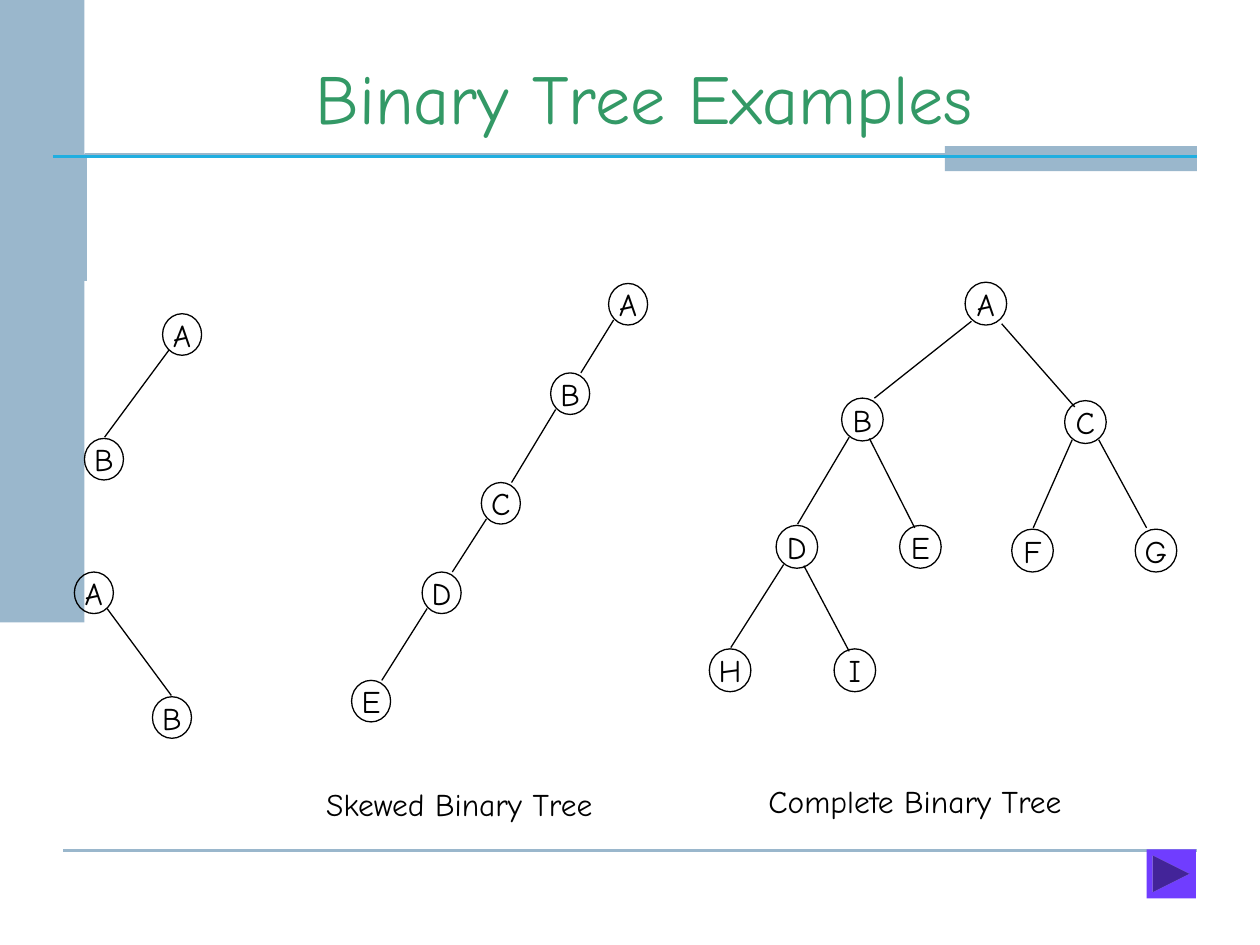
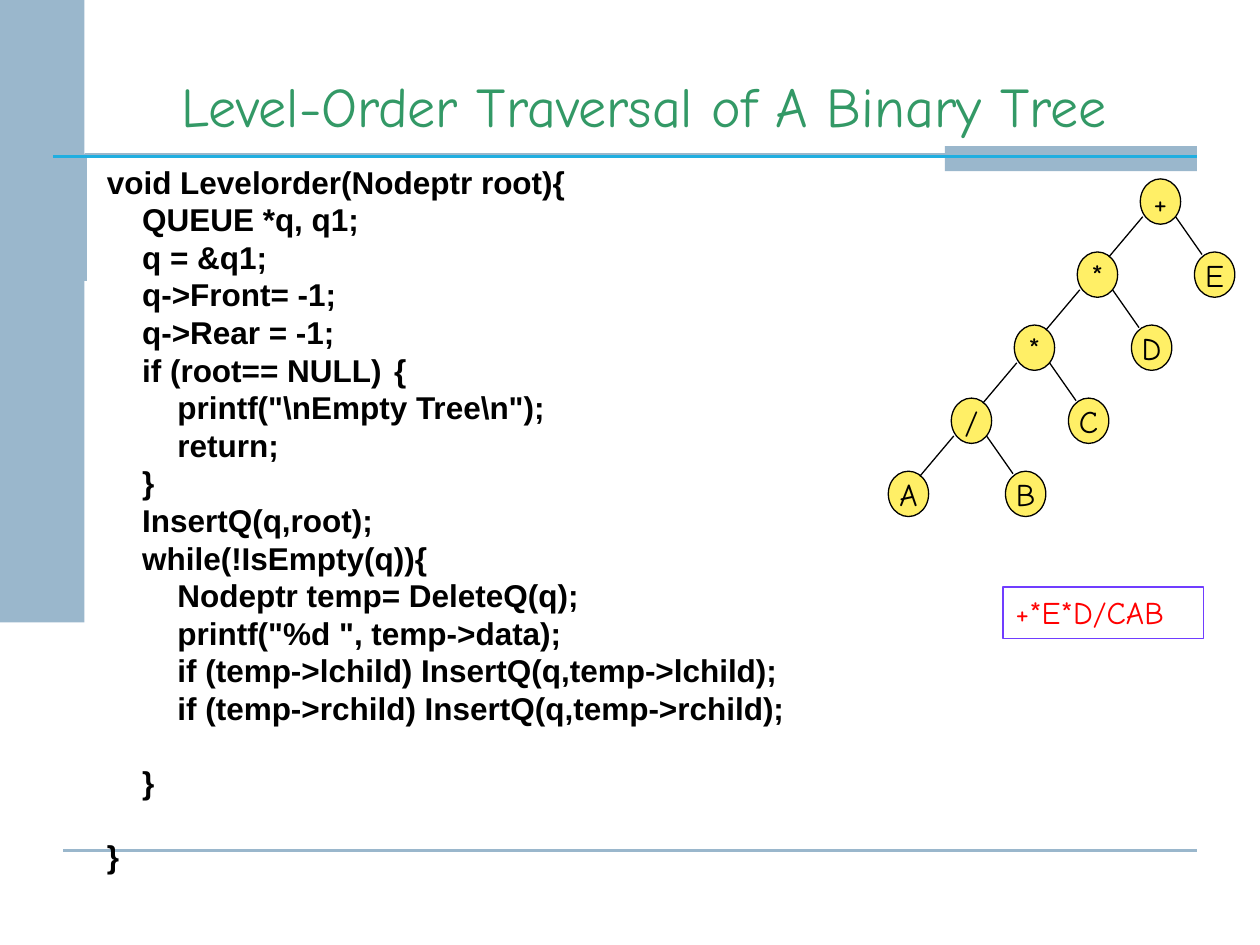
from dataclasses import dataclass
from lxml import etree
from pptx import Presentation, util as u
from pptx.dml.color import RGBColor
from pptx.enum import shapes as sh, text as tx
from pptx.oxml.ns import qn

PX = 9144  # 100 px to the inch


@dataclass(frozen=True)
class Theme:
    band: str = "9AB7CC"
    rule: str = "20AEE0"
    title: str = "339966"
    ink: str = "000000"
    node: str = "FFEF66"
    accent: str = "703DFF"
    result: str = "FF0000"
    hand: str = "Comic Neue"
    code: str = "Arial"
    big: int = 40
    mid: int = 32
    base: int = 18
    hair: float = 0.75
    thin: float = 1.5
    thick: float = 2


T = Theme()

# Nodes: label, left, top, index of parent, and edge ends where they differ.
# Edge ends: start offset from the parent's corner, end offset from the child's.
TREES = [
    dict(size=(31, 33), left=(5, 29, 16, -1), nodes=[
        ("A", 129, 249, None), ("B", 67, 348, 0)]),
    dict(size=(31, 33), right=(26, 29, 15, -1), nodes=[
        ("A", 59, 454, None), ("B", 121, 553, 0)]),
    dict(size=(31, 33), left=(4, 29, 24, 0), nodes=[
        ("A", 483, 225, None), ("B", 437, 296, 0), ("C", 382, 383, 1),
        ("D", 335, 454, 2), ("E", 279, 540, 3)]),
    dict(size=(33, 34), left=(6, 31, 17, -1), right=(22, 32, 12, 2), nodes=[
        ("A", 766, 224, None),
        ("B", 668, 316, 0, (5, 31, 26, 0)), ("C", 845, 318, 0, (29, 33, 8, 5)),
        ("D", 616, 417, 1), ("E", 714, 417, 1),
        ("F", 803, 420, 2), ("G", 901, 420, 2, (27, 31, 9, -1)),
        ("H", 563, 515, 3), ("I", 662, 515, 3)]),
]
NAMES = [("Skewed Binary Tree", (249, 618, 265, 40)),
         ("Complete Binary Tree", (600, 616, 327, 40))]

# Each level of the expression: left and right child of the operator above.
ROOT = "+"
LEVELS = ["*E", "*D", "/C", "AB"]
RESULT = "+*E*D/CAB"

# Indent level, text, and lines left free above.
CODE = [
    (0, "void Levelorder(Nodeptr root){", 0),
    (1, "QUEUE *q, q1;", 0),
    (1, "q = &q1;", 0),
    (1, "q->Front= -1;", 0),
    (1, "q->Rear = -1;", 0),
    (1, "if (root== NULL)\t{", 0),
    (2, 'printf("\\nEmpty Tree\\n");', 0),
    (2, "return;", 0),
    (1, "}", 0),
    (1, "InsertQ(q,root);", 0),
    (1, "while(!IsEmpty(q)){", 0),
    (2, "Nodeptr temp= DeleteQ(q);", 0),
    (2, 'printf("%d ", temp->data);', 0),
    (2, "if (temp->lchild) InsertQ(q,temp->lchild);", 0),
    (2, "if (temp->rchild) InsertQ(q,temp->rchild);", 0),
    (1, "}", 1),
    (0, "}", 1),
]
STEP, BRACE = 28, 246  # indent of one level, tab stop of the lone brace
GAP, PITCH = 4.2, 20.9  # space between code lines, distance of lines


def rgb(hue):
    return RGBColor.from_string(hue)


def paint(shape, fill=None, line=None, width=T.hair):
    shape.shadow.inherit = False
    if fill:
        shape.fill.solid()
        shape.fill.fore_color.rgb = rgb(fill)
    else:
        shape.fill.background()
    if line:
        shape.line.color.rgb = rgb(line)
        shape.line.width = u.Pt(width)
    else:
        shape.line.fill.background()
    return shape


def block(slide, kind, box, **look):
    return paint(slide.shapes.add_shape(kind, *(v * PX for v in box)), **look)


def link(slide, ends, hue=T.ink, width=T.hair):
    line = slide.shapes.add_connector(sh.MSO_CONNECTOR.STRAIGHT,
                                      *(v * PX for v in ends))
    line.line.color.rgb = rgb(hue)
    line.line.width = u.Pt(width)
    etree.SubElement(line._element.spPr, qn("a:effectLst"))


def write(shape, words, font=T.hand, size=T.base, hue=T.ink, bold=False,
          align=tx.PP_ALIGN.LEFT, anchor=tx.MSO_ANCHOR.TOP, wrap=True):
    """Fill a shape with one paragraph per line of words; return them."""
    frame = shape.text_frame
    frame.word_wrap = wrap
    frame.vertical_anchor = anchor
    frame.text = words
    for para in frame.paragraphs:
        para.alignment = align
        for run in para.runs:
            run.font.name, run.font.size = font, u.Pt(size)
            run.font.bold, run.font.color.rgb = bold, rgb(hue)
    return frame.paragraphs


def label(slide, box, words, **look):
    return write(slide.shapes.add_textbox(*(v * PX for v in box)), words, **look)


def base(deck, title, size):
    """Add a slide with the shared bands, rules and title."""
    slide = deck.slides.add_slide(deck.slide_layouts[6])
    path = slide.shapes.build_freeform(68, 223, scale=PX)
    path.add_line_segments([(68, 123), (935, 123)], close=False)
    paint(path.convert_to_shape(), line=T.band, width=T.thick)
    link(slide, (50, 675, 950, 675), T.band, T.thin)
    for box in [(0, -39, 67, 533), (750, 116, 200, 20)]:
        block(slide, sh.MSO_SHAPE.RECTANGLE, box, fill=T.band)
    link(slide, (42, 124, 950, 124), T.rule, T.thin)
    label(slide, (75, 38, 873, 77), title, size=size, hue=T.title,
          align=tx.PP_ALIGN.CENTER, anchor=tx.MSO_ANCHOR.BOTTOM)
    return slide


def plant(slide, nodes, size, left=None, right=None, fill=None):
    """Draw a tree; an edge leans left or right as its child does."""
    for name, x, y, top, *ends in nodes:
        oval = block(slide, sh.MSO_SHAPE.OVAL, (x, y, *size),
                     fill=fill, line=T.ink)
        write(oval, name, align=tx.PP_ALIGN.CENTER,
              anchor=tx.MSO_ANCHOR.MIDDLE, wrap=False)
        if top is not None:
            px, py = nodes[top][1:3]
            a, b, c, d = ends[0] if ends else left if x < px else right
            link(slide, (px + a, py + b, x + c, y + d))


def grow():
    """Lay out the expression tree along its left spine."""
    x, y, top = 905, 142, 0
    nodes = [(ROOT, x, y, None)]
    for one, two in LEVELS:
        x, y = x - 50, y + 58
        nodes += [(one, x, y, top), (two, x + 93, y, top)]
        top = len(nodes) - 2
    return nodes


def listing(slide):
    words = "\n".join(line for _, line, _ in CODE)
    paras = label(slide, (75, 130, 890, 620), words, font=T.code, bold=True)
    for i, (para, (level, line, free)) in enumerate(zip(paras, CODE)):
        para.line_spacing = 0.8
        para.space_before = u.Pt(GAP * (i > 0) + PITCH * free)
        props = para._p.get_or_add_pPr()
        props.set("marL", str(level * STEP * PX))
        props.set("indent", "0")
        if "\t" in line:
            tabs = etree.SubElement(props, qn("a:tabLst"))
            etree.SubElement(tabs, qn("a:tab"), pos=str(BRACE * PX), algn="l")


def main():
    deck = Presentation()
    deck.slide_width, deck.slide_height = 1000 * PX, 750 * PX

    slide = base(deck, "Binary Tree Examples", T.big)
    for tree in TREES:
        plant(slide, **tree)
    block(slide, sh.MSO_SHAPE.ACTION_BUTTON_FORWARD_OR_NEXT,
          (910, 674, 39, 39), fill=T.accent)
    for name, box in NAMES:
        label(slide, box, name)

    slide = base(deck, "Level-Order Traversal of A Binary Tree", T.mid)
    listing(slide)
    answer = block(slide, sh.MSO_SHAPE.RECTANGLE, (796, 466, 159, 41),
                   line=T.accent)
    write(answer, RESULT, hue=T.result)
    plant(slide, grow(), (32, 36), left=(2, 30, 25, 4), right=(28, 30, 6, 2),
          fill=T.node)

    deck.save("out.pptx")


if __name__ == "__main__":
    main()
